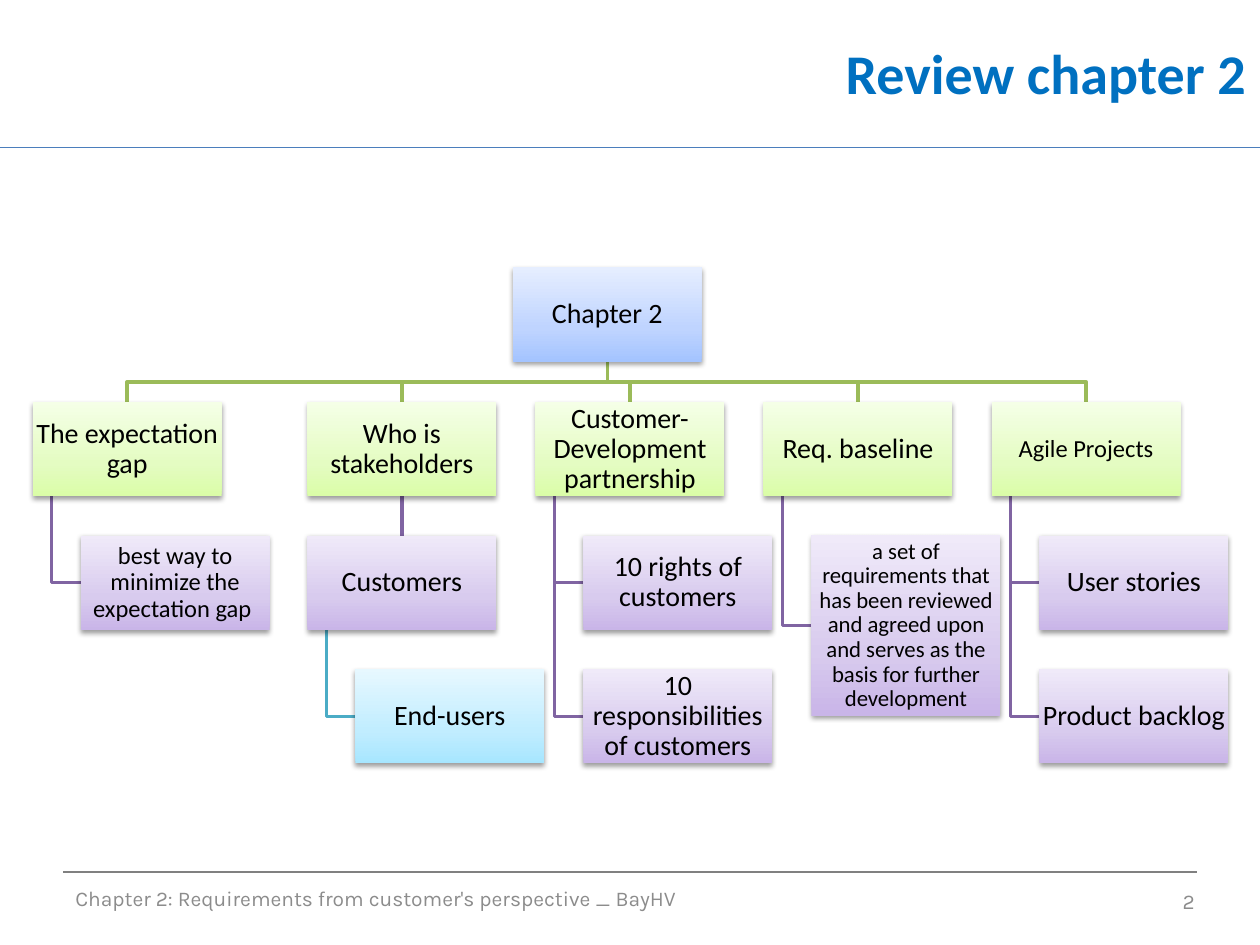
from copy import deepcopy
from dataclasses import dataclass

from lxml.etree import SubElement
from pptx import Presentation
from pptx.dml.color import RGBColor
from pptx.enum.shapes import MSO_CONNECTOR, MSO_SHAPE
from pptx.enum.text import MSO_ANCHOR, PP_ALIGN
from pptx.oxml.ns import qn
from pptx.shapes.autoshape import Shape
from pptx.shapes.connector import Connector
from pptx.slide import Slide
from pptx.text.text import TextFrame
from pptx.util import Inches, Pt

BOX_WIDTH = 1.5
BOX_HEIGHT = 0.75
ROOT_TOP = 2.12
ROW_STEP = 1.06
BRANCH_TOP = 3.19
COLUMN_STEP = 1.81
SECOND_COLUMN = 2.44
INDENT = 0.38
TRUNK_OFFSET = 0.15
INSET = 0.01


@dataclass(frozen=True)
class Palette:
    line: str
    stops: tuple[str, str, str]


ROOT = Palette("4F81BD", ("A4C4FF", "BFD4FF", "E6EEFF"))
BRANCH = Palette("9BBB59", ("DAFDA7", "E4FCC2", "F5FFE7"))
TOPIC = Palette("8064A2", ("C9B5E8", "D8CBEE", "F0EAF9"))
DETAIL = Palette("4BACC6", ("A7E6FF", "C1EDFF", "E7F8FF"))


@dataclass(frozen=True)
class Node:
    text: str
    left: float
    top: float
    palette: Palette
    size: float = 16
    height: float = BOX_HEIGHT

    @property
    def center(self) -> float:
        return self.left + BOX_WIDTH / 2

    @property
    def middle(self) -> float:
        return self.top + self.height / 2

    @property
    def bottom(self) -> float:
        return self.top + self.height


def rgb(color: str) -> RGBColor:
    return RGBColor.from_string(color)


def write_text(frame: TextFrame, text: str, *, size: float, color: str, font: str = "Calibri",
               bold: bool = False, align: PP_ALIGN = PP_ALIGN.LEFT,
               spacing: float = 1.0, inset: float | None = None) -> None:
    frame.word_wrap = True
    frame.vertical_anchor = MSO_ANCHOR.MIDDLE
    if inset is not None:
        frame.margin_left = frame.margin_right = Inches(inset)
        frame.margin_top = frame.margin_bottom = Inches(inset)
    para = frame.paragraphs[0]
    para.alignment = align
    para.line_spacing = spacing
    span = para.add_run()
    span.text = text
    span.font.name = font
    span.font.size = Pt(size)
    span.font.bold = bold
    span.font.color.rgb = rgb(color)


def add_line(page: Slide, start: tuple[float, float], end: tuple[float, float],
             color: str, width: float) -> Connector:
    line = page.shapes.add_connector(MSO_CONNECTOR.STRAIGHT, *map(Inches, start + end))
    line.line.color.rgb = rgb(color)
    line.line.width = Pt(width)
    SubElement(line._element.spPr, qn("a:effectLst"))
    return line


def add_elbow(page: Slide, points: list[tuple[float, float]], color: str) -> None:
    corners = [(Inches(x), Inches(y)) for x, y in points]
    builder = page.shapes.build_freeform(*corners[0])
    builder.add_line_segments(corners[1:], close=False)
    elbow = builder.convert_to_shape()
    elbow.shadow.inherit = False
    elbow.fill.background()
    elbow.line.color.rgb = rgb(color)
    elbow.line.width = Pt(2)


def fill_gradient(box: Shape, colors: tuple[str, str, str]) -> None:
    box.fill.gradient()
    box.fill.gradient_angle = 90
    stop_list = box._element.spPr.find(qn("a:gradFill")).find(qn("a:gsLst"))
    stop_list.insert(1, deepcopy(stop_list[0]))
    for stop, color, position in zip(box.fill.gradient_stops, colors, (0, 0.35, 1)):
        stop.color.rgb = rgb(color)
        stop.position = position


def add_soft_shadow(box: Shape) -> None:
    box.shadow.inherit = False
    effects = box._element.spPr.find(qn("a:effectLst"))
    shadow = SubElement(effects, qn("a:outerShdw"), blurRad=str(Pt(3.1)), dist=str(Pt(1.6)),
                        dir="5400000", rotWithShape="0")
    color = SubElement(shadow, qn("a:srgbClr"), val="000000")
    SubElement(color, qn("a:alpha"), val="38000")


def add_node(page: Slide, node: Node) -> Shape:
    box = page.shapes.add_shape(MSO_SHAPE.RECTANGLE, Inches(node.left), Inches(node.top),
                                Inches(BOX_WIDTH), Inches(node.height))
    fill_gradient(box, node.palette.stops)
    box.line.fill.background()
    add_soft_shadow(box)
    write_text(box.text_frame, node.text, size=node.size, color="000000",
               align=PP_ALIGN.CENTER, spacing=0.9, inset=INSET)
    return box


def branch(text: str, left: float, size: float = 16) -> Node:
    return Node(text, left, BRANCH_TOP, BRANCH, size)


def child(parent: Node, text: str, row: int = 1, size: float = 16,
          height: float = BOX_HEIGHT, palette: Palette = TOPIC) -> Node:
    return Node(text, parent.left + INDENT, BRANCH_TOP + row * ROW_STEP, palette, size, height)


def add_footer(page: Slide, text: str, left: float, top: float, width: float,
               align: PP_ALIGN) -> None:
    box = page.shapes.add_textbox(Inches(left), Inches(top), Inches(width), Inches(0.4))
    write_text(box.text_frame, text, size=12, color="8C8C8C", font="Karla", align=align)


def add_tree(page: Slide) -> None:
    root = Node("Chapter 2", 4.07, ROOT_TOP, ROOT)
    columns = [SECOND_COLUMN + COLUMN_STEP * index for index in range(4)]
    gap = branch("The expectation gap", 0.26)
    stakeholders = branch("Who is stakeholders", columns[0])
    partnership = branch("Customer-Development partnership", columns[1])
    baseline = branch("Req. baseline", columns[2])
    agile = branch("Agile Projects", columns[3], 14)
    customers = Node("Customers", stakeholders.left, BRANCH_TOP + ROW_STEP, TOPIC)
    branches = [gap, stakeholders, partnership, baseline, agile]
    links = [
        (gap, child(gap, "best way to minimize the expectation gap ", size=14)),
        (customers, child(customers, "End-users", 2, palette=DETAIL)),
        (partnership, child(partnership, "10 rights of customers")),
        (partnership, child(partnership, "10 responsibilities of customers", 2)),
        (baseline, child(baseline, "a set of requirements that has been reviewed and agreed upon "
                         "and serves as the basis for further development",
                         size=13, height=1.43)),
        (agile, child(agile, "User stories")),
        (agile, child(agile, "Product backlog", 2)),
    ]

    bus = (root.bottom + BRANCH_TOP) / 2
    for node in branches:
        add_elbow(page, [(root.center, root.bottom), (root.center, bus),
                         (node.center, bus), (node.center, node.top)], node.palette.line)
    for parent, node in links:
        trunk = parent.left + TRUNK_OFFSET
        add_elbow(page, [(trunk, parent.bottom), (trunk, node.middle),
                         (node.left, node.middle)], node.palette.line)
    stem = add_line(page, (stakeholders.center, stakeholders.bottom),
                    (customers.center, customers.top), customers.palette.line, 2)

    nodes = [root, *branches, customers, *(node for _, node in links)]
    boxes = {node: add_node(page, node) for node in nodes}
    stem.begin_connect(boxes[stakeholders], 2)
    stem.end_connect(boxes[customers], 0)


def main() -> None:
    deck = Presentation()
    deck.slide_width, deck.slide_height = Inches(10), Inches(7.5)
    page = deck.slides.add_slide(deck.slide_layouts[5])
    add_line(page, (0, 1.17), (10, 1.17), "4B7EBC", 0.75)
    add_line(page, (0.5, 6.92), (9.5, 6.92), "808080", 0.75)

    title = page.shapes.title
    title.left, title.top = Inches(2.9), Inches(0)
    title.width, title.height = Inches(7.09), Inches(1.15)
    write_text(title.text_frame, "Review chapter 2", size=32, color="0070C0",
               bold=True, align=PP_ALIGN.RIGHT)

    add_footer(page, "Chapter 2: Requirements from customer's perspective _ BayHV",
               0.5, 6.93, 6.67, PP_ALIGN.LEFT)
    add_footer(page, "2", 7.25, 6.95, 2.33, PP_ALIGN.RIGHT)
    add_tree(page)
    deck.save("out.pptx")


if __name__ == "__main__":
    main()
